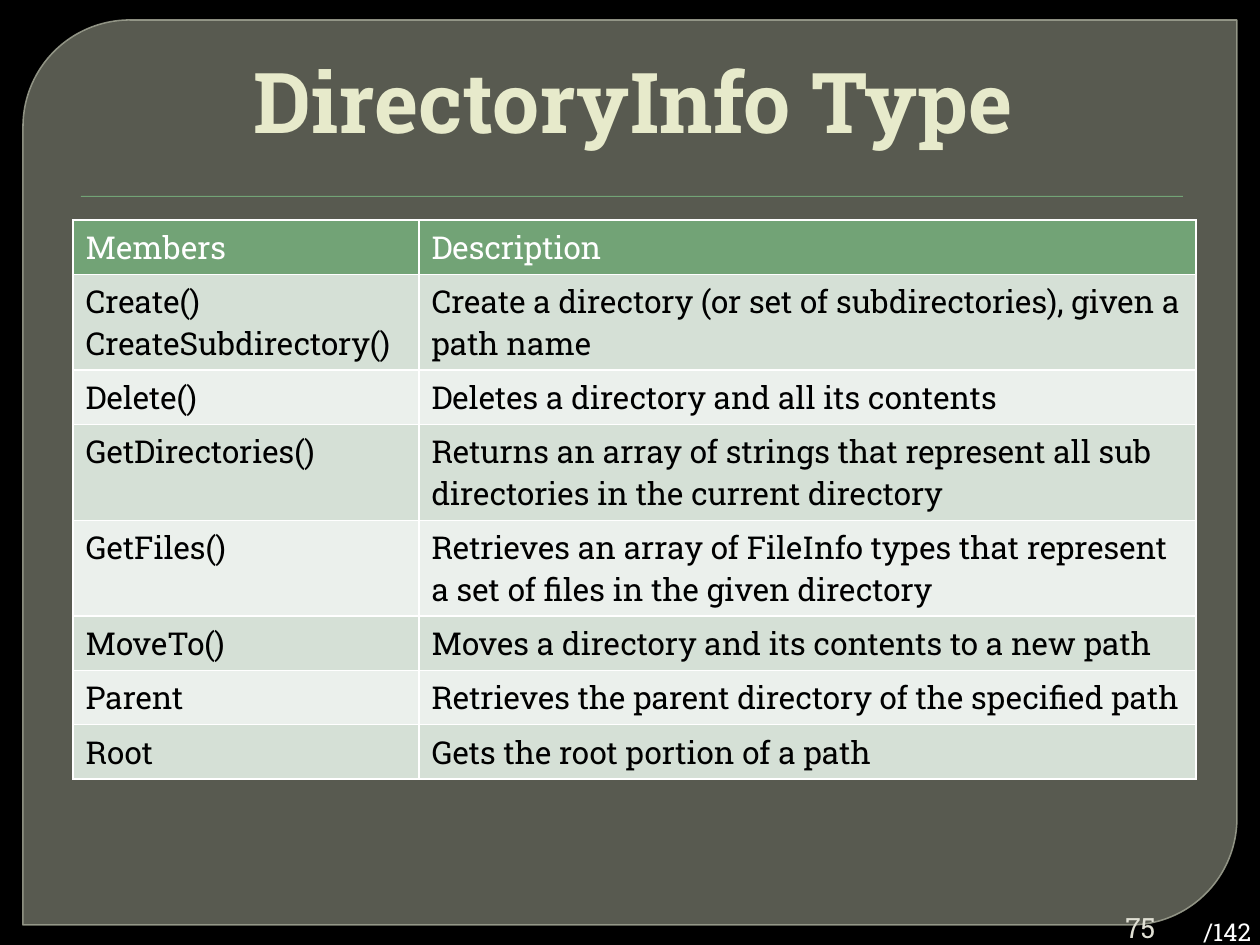
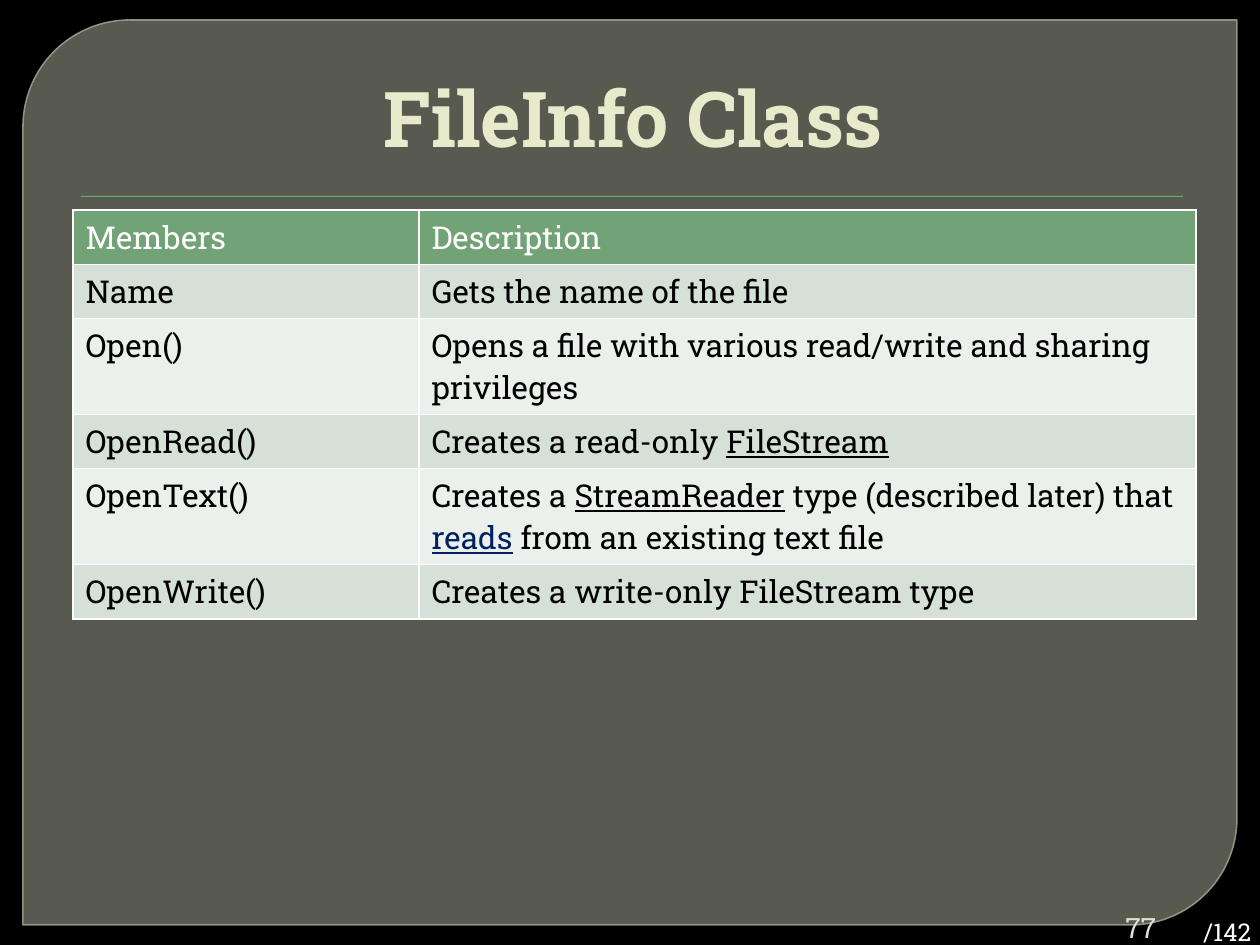
from lxml import etree
from pptx import Presentation
from pptx import util as u
from pptx.dml.color import RGBColor
from pptx.enum import shapes, text
from pptx.oxml import ns, parse_xml

PX = 914400 // 126
FONT = "Roboto Slab"
COLOURS = {
    "background": "000000", "panel": "888B7B", "panel line": "9DA090",
    "green": "72A376", "title": "E7EACB", "number": "E0E0D4",
    "odd row": "D5E0D6", "even row": "EBF0EC",
    "white": "FFFFFF", "black": "000000", "navy": "002060",
}
COLUMN_WIDTHS = (346, 777)
ROW_HEIGHT = 52
HEADER = ("Members", "Description")

# A cell is a string, or a list of runs in which (text, colour) is underlined
SLIDES = [
    dict(title="DirectoryInfo Type", title_size=48, title_height=122,
         table_top=220, table_height=520, number="75", rows=[
             ("Create()\nCreateSubdirectory()",
              "Create a directory (or set of subdirectories), given a path name"),
             ("Delete()", "Deletes a directory and all its contents"),
             ("GetDirectories()", "Returns an array of strings that represent all sub "
                                  "directories in the current directory"),
             ("GetFiles()", "Retrieves an array of FileInfo types that represent "
                            "a set of files in the given directory"),
             ("MoveTo()", "Moves a directory and its contents to a new path"),
             ("Parent", "Retrieves the parent directory of the specified path"),
             ("Root", "Gets the root portion of a path"),
         ]),
    dict(title="FileInfo Class", title_size=44, title_height=134,
         table_top=210, table_height=380, number="77", rows=[
             ("Name", "Gets the name of the file"),
             ("Open()", "Opens a file with various read/write and sharing privileges"),
             ("OpenRead()", ["Creates a read-only ", ("FileStream", "black")]),
             ("OpenText()", ["Creates a ", ("StreamReader", "black"),
                             " type (described later) that ", ("reads", "navy"),
                             " from an existing text file"]),
             ("OpenWrite()", "Creates a write-only FileStream type"),
         ]),
]


def box(left, top, width, height):
    return [u.Emu(length * PX) for length in (left, top, width, height)]


def style(font, size, colour, bold=False):
    font.name, font.size, font.bold = FONT, u.Pt(size), bold
    font.color.rgb = RGBColor.from_string(COLOURS[colour])


presentation = Presentation()
presentation.slide_width, presentation.slide_height = u.Inches(10), u.Inches(7.5)

for content in SLIDES:
    slide = presentation.slides.add_slide(presentation.slide_layouts[5])
    slide.background.fill.solid()
    slide.background.fill.fore_color.rgb = RGBColor.from_string(COLOURS["background"])

    # Panel with two rounded corners
    panel = slide.shapes.add_shape(
        shapes.MSO_SHAPE.ROUND_2_DIAG_RECTANGLE, *box(23, 20, 1214, 905))
    panel.adjustments[0], panel.adjustments[1] = 0.118, 0
    panel.shadow.inherit = False
    panel.fill.solid()
    panel.fill.fore_color.rgb = RGBColor.from_string(COLOURS["panel"])
    panel.line.color.rgb = RGBColor.from_string(COLOURS["panel line"])
    panel.line.width = u.Pt(0.87)
    for colour, percent in zip(panel.element.spPr.iter(ns.qn("a:srgbClr")), (65, 88)):
        etree.SubElement(colour, ns.qn("a:alpha"), val=str(percent * 1000))

    # Rule under the title, with a soft shadow
    rule = slide.shapes.add_shape(shapes.MSO_SHAPE.RECTANGLE, *box(81, 196, 1102, 1))
    rule.shadow.inherit = False
    rule.fill.solid()
    rule.fill.fore_color.rgb = RGBColor.from_string(COLOURS["green"])
    rule.line.fill.background()
    rule.element.spPr.find(ns.qn("a:effectLst")).append(parse_xml(
        f'<a:outerShdw {ns.nsdecls("a")} blurRad="12700" dist="12700" dir="5400000">'
        '<a:srgbClr val="000000"><a:alpha val="75000"/></a:srgbClr></a:outerShdw>'))

    # Title, brought in front of the panel
    title = slide.shapes.title
    title.element.getparent().append(title.element)
    title.left, title.top, title.width, title.height = box(
        63, 35, 1134, content["title_height"])
    title.text_frame.text = content["title"]
    title.text_frame.auto_size = text.MSO_AUTO_SIZE.NONE
    title.text_frame.vertical_anchor = text.MSO_ANCHOR.BOTTOM
    paragraph = title.text_frame.paragraphs[0]
    paragraph.alignment = text.PP_ALIGN.CENTER
    paragraph._p.get_or_add_pPr().set("marL", str(u.Inches(0.06)))
    style(paragraph.font, content["title_size"], "title", bold=True)

    # Table of members
    rows = [HEADER] + content["rows"]
    frame = slide.shapes.add_table(len(rows), 2, *box(
        73, content["table_top"], sum(COLUMN_WIDTHS), content["table_height"]))
    table = frame.table
    for column, width in zip(table.columns, COLUMN_WIDTHS):
        column.width = u.Emu(width * PX)
    for row_index, values in enumerate(rows):
        table.rows[row_index].height = u.Emu(ROW_HEIGHT * PX)
        is_header = row_index == 0
        fill = "green" if is_header else "odd row" if row_index % 2 else "even row"
        for column_index, value in enumerate(values):
            cell = table.cell(row_index, column_index)
            cell.fill.solid()
            cell.fill.fore_color.rgb = RGBColor.from_string(COLOURS[fill])
            for position, side in enumerate("LRTB"):
                cell._tc.get_or_add_tcPr().insert(position, parse_xml(
                    f'<a:ln{side} {ns.nsdecls("a")} w="12700"><a:solidFill>'
                    f'<a:srgbClr val="{COLOURS["white"]}"/></a:solidFill></a:ln{side}>'))
            if isinstance(value, str):
                cell.text_frame.text = value
            else:
                for part in value:
                    run = cell.text_frame.paragraphs[0].add_run()
                    underlined = isinstance(part, tuple)
                    run.text, colour = part if underlined else (part, "black")
                    style(run.font, 18, colour)
                    run.font.underline = underlined
            for paragraph in cell.text_frame.paragraphs:
                style(paragraph.font, 18, "white" if is_header else "black")
    frame.height = u.Emu(content["table_height"] * PX)

    # Slide number and total
    number = slide.shapes.add_textbox(*box(1113, 910, 102, 35))
    total = slide.shapes.add_textbox(*box(1191, 911, 77, 43))
    number.text_frame.word_wrap = True
    number.text_frame.vertical_anchor = text.MSO_ANCHOR.MIDDLE
    number.text_frame.paragraphs[0].alignment = text.PP_ALIGN.RIGHT
    total.text_frame.word_wrap = False
    total.text_frame.auto_size = text.MSO_AUTO_SIZE.SHAPE_TO_FIT_TEXT
    for shape, label, size, colour in ((number, content["number"], 16, "number"),
                                       (total, "/142", 14, "white")):
        shape.text_frame.text = label
        style(shape.text_frame.paragraphs[0].font, size, colour)

presentation.save("out.pptx")
